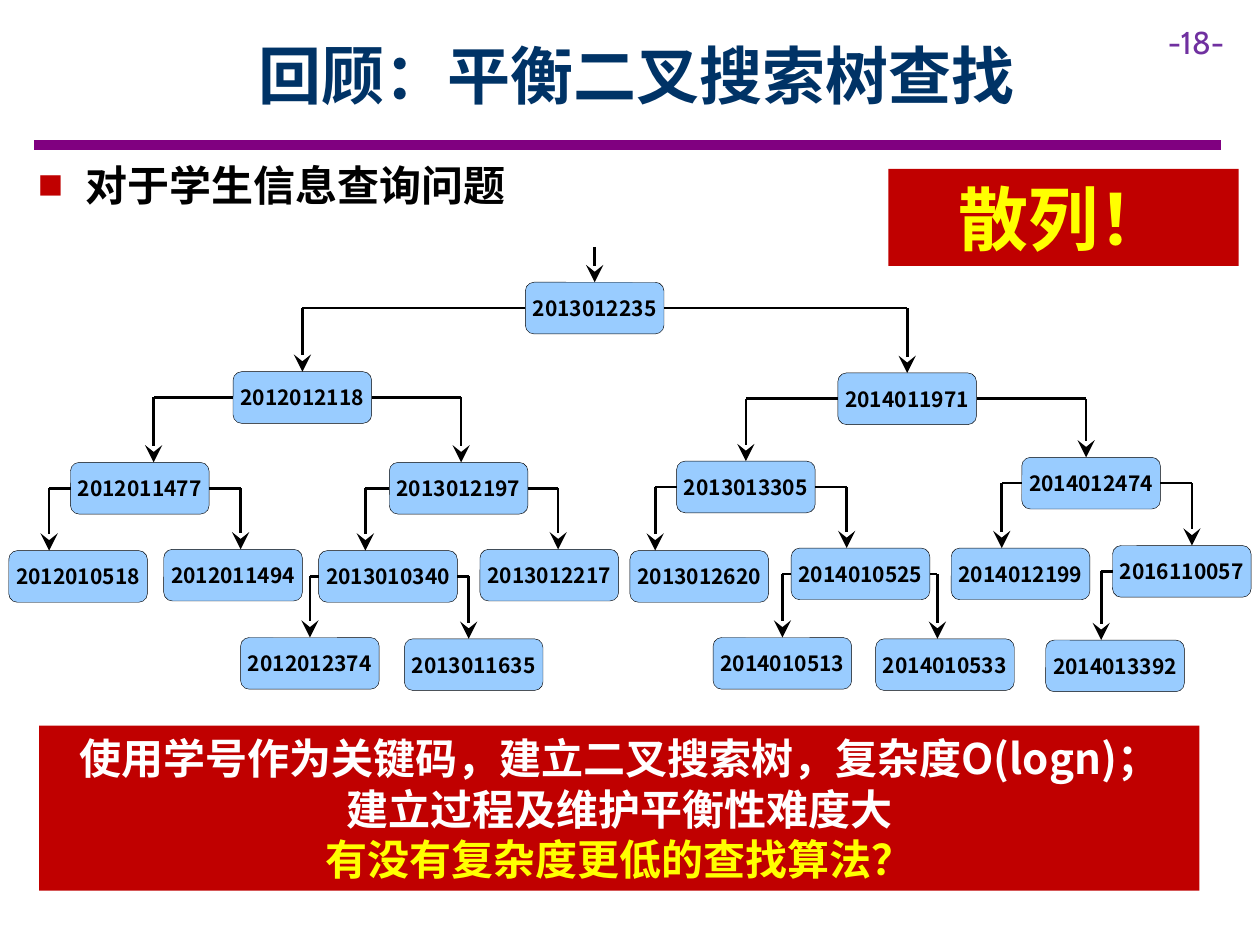
from lxml import etree
from pptx import Presentation
from pptx.dml.color import RGBColor
from pptx.enum.shapes import MSO_CONNECTOR, MSO_SHAPE
from pptx.enum.text import MSO_ANCHOR, MSO_AUTO_SIZE, PP_ALIGN
from pptx.oxml.ns import qn
from pptx.util import Inches, Pt

RECT, ROUNDED = MSO_SHAPE.RECTANGLE, MSO_SHAPE.ROUNDED_RECTANGLE
STRAIGHT = MSO_CONNECTOR.STRAIGHT
TOP, MIDDLE = MSO_ANCHOR.TOP, MSO_ANCHOR.MIDDLE
LEFT, CENTER = PP_ALIGN.LEFT, PP_ALIGN.CENTER
NO_FIT = MSO_AUTO_SIZE.NONE

BLACK = RGBColor(0x00, 0x00, 0x00)
WHITE = RGBColor(0xFF, 0xFF, 0xFF)
NAVY = RGBColor(0x00, 0x33, 0x66)
PURPLE = RGBColor(0x80, 0x00, 0x80)
VIOLET = RGBColor(0x70, 0x30, 0xA0)
RED = RGBColor(0xC0, 0x00, 0x00)
YELLOW = RGBColor(0xFF, 0xFF, 0x00)
SKY = RGBColor(0x99, 0xCC, 0xFF)

SANS, NUMBER_FONT = "Noto Sans CJK SC", "Cabin"
SLIDE_W, SLIDE_H = Inches(10), Inches(7.5)
COLS, ROWS = 100, 75
NODE_W, NODE_H = 11, 4.1
LINE_FACTOR = 1.21

# Tree in heap order (children of n are 2n and 2n + 1):
# number, column, row, column of the arrow into it (None: the node's middle)
TREE = {
    1: ("2013012235", 41.7, 22.4, None),
    2: ("2012012118", 18.5, 29.5, None),
    3: ("2014011971", 66.5, 29.6, None),
    4: ("2012011477", 5.6, 36.7, 12.2),
    5: ("2013012197", 30.9, 36.7, 36.6),
    6: ("2013013305", 53.7, 36.6, None),
    7: ("2014012474", 81.1, 36.3, 86.2),
    8: ("2012010518", 0.7, 43.7, 3.9),
    9: ("2012011494", 13, 43.6, 19.1),
    10: ("2013010340", 25.3, 43.7, 29),
    11: ("2013012217", 38.1, 43.6, 44.3),
    12: ("2013012620", 50, 43.7, 52),
    13: ("2014010525", 62.8, 43.5, 67.2),
    14: ("2014012199", 75.5, 43.5, 79.5),
    15: ("2016110057", 88.3, 43.3, 94.6),
    20: ("2012012374", 19.1, 50.6, None),
    21: ("2013011635", 32.1, 50.7, 37.2),
    26: ("2014010513", 56.6, 50.6, None),
    27: ("2014010533", 69.5, 50.7, 74.4),
    30: ("2014013392", 83, 50.8, 87.4),
}


def col(n):
    return round(SLIDE_W * n / COLS)


def row(n):
    return round(SLIDE_H * n / ROWS)


def place(sp, x, y, w, h):
    sp.left, sp.top, sp.width, sp.height = col(x), row(y), col(w), row(h)


def set_text(sp, lines, size, anchor=TOP, align=CENTER, bold=True,
             font=SANS, spacing=None, insets=None):
    """Write (text, colour) lines into a shape, one paragraph each."""
    tf = sp.text_frame
    frame = {"word_wrap": True, "auto_size": NO_FIT, "vertical_anchor": anchor}
    for name, value in {**frame, **(insets or {})}.items():
        setattr(tf, name, value)
    for i, (text, color) in enumerate(lines):
        p = tf.add_paragraph() if i else tf.paragraphs[0]
        p.alignment, p.space_before = align, Pt(0)
        if spacing:
            p.line_spacing = Pt(round(size * spacing))
        r = p.add_run()
        r.text = text
        for name, value in {"name": font, "size": Pt(size), "bold": bold}.items():
            setattr(r.font, name, value)
        r.font.color.rgb = color
        ea = etree.SubElement(r.font._element, qn("a:ea"))
        ea.set("typeface", font)


def add_box(s, kind, x, y, w, h, fill, outline=None):
    sp = s.shapes.add_shape(kind, col(x), row(y), col(w), row(h))
    sp.shadow.inherit = False
    sp.fill.solid()
    sp.fill.fore_color.rgb = fill
    if outline is None:
        sp.line.fill.background()
    else:
        sp.line.color.rgb, sp.line.width = outline, Pt(0.25)
    return sp


def add_line(s, x1, y1, x2, y2, color=BLACK, width=1.5, arrow=False):
    line = s.shapes.add_connector(STRAIGHT, col(x1), row(y1), col(x2), row(y2))
    line.line.color.rgb, line.line.width = color, Pt(width)
    if arrow:
        tail = etree.SubElement(line.line._get_or_add_ln(), qn("a:tailEnd"))
        for name, value in {"type": "stealth", "w": "lg", "len": "lg"}.items():
            tail.set(name, value)
    etree.SubElement(line._element.spPr, qn("a:effectLst"))
    return line


def add_bullet(p):
    pPr = p._p.get_or_add_pPr()
    pPr.set("marL", str(col(3.75)))
    pPr.set("indent", str(-col(3.75)))
    color = etree.SubElement(pPr, qn("a:buClr"))
    etree.SubElement(color, qn("a:srgbClr")).set("val", str(RED))
    etree.SubElement(pPr, qn("a:buChar")).set("char", "■")


def add_node(s, text, x, y):
    sp = add_box(s, ROUNDED, x, y, NODE_W, NODE_H, SKY, BLACK)
    set_text(sp, [(text, BLACK)], 12, MIDDLE,
             insets={"margin_left": 0, "margin_right": 0})
    return sp


def add_branch(s, nodes, n):
    """Run an arm out of the parent's side, then an arrow down to node n."""
    _, x, y, drop = TREE[n]
    _, parent_x, parent_y, _ = TREE[n // 2]
    bend_x = x + NODE_W / 2 if drop is None else drop
    bend_y = parent_y + NODE_H / 2
    is_left = n % 2 == 0
    side_x = parent_x if is_left else parent_x + NODE_W
    arm = add_line(s, side_x, bend_y, bend_x, bend_y)
    arm.begin_connect(nodes[n // 2], 1 if is_left else 3)
    arrow = add_line(s, bend_x, bend_y, bend_x, y, arrow=True)
    if drop is None:
        arrow.end_connect(nodes[n], 0)


def add_tree(s):
    nodes = {n: add_node(s, *TREE[n][:3]) for n in TREE}
    _, x, y, _ = TREE[1]
    middle = x + NODE_W / 2
    entry = add_line(s, middle, y - 2.8, middle, y, arrow=True)
    entry.end_connect(nodes[1], 0)
    for n in TREE:
        if n > 1:
            add_branch(s, nodes, n)


def main():
    prs = Presentation()
    prs.slide_width, prs.slide_height = SLIDE_W, SLIDE_H
    s = prs.slides.add_slide(prs.slide_layouts[1])

    # Heading, rule and page number
    title, body = s.placeholders
    place(title, 9, 0.9, 83.1, 10)
    set_text(title, [("回顾：平衡二叉搜索树查找", NAVY)], 36, MIDDLE)
    add_line(s, 2.7, 11.5, 96.9, 11.5, PURPLE, 6)
    number = s.shapes.add_textbox(col(91.7), row(1.3), col(8.3), row(4))
    set_text(number, [("-18-", VIOLET)], 18, align=LEFT, bold=False,
             font=NUMBER_FONT)

    # Topic line
    place(body, 2, 12.1, 52, 5)
    set_text(body, [("对于学生信息查询问题", BLACK)], 24, align=LEFT,
             spacing=LINE_FACTOR)
    add_bullet(body.text_frame.paragraphs[0])

    # Search tree
    add_tree(s)

    # Conclusion and answer
    conclusion = add_box(s, RECT, 3.1, 57.6, 92.1, 13.1, RED)
    set_text(conclusion, [
        ("使用学号作为关键码，建立二叉搜索树，复杂度O(logn)；", WHITE),
        ("建立过程及维护平衡性难度大", WHITE),
        ("有没有复杂度更低的查找算法？", YELLOW),
    ], 24, spacing=LINE_FACTOR)
    answer = add_box(s, RECT, 70.5, 13.4, 27.8, 7.7, RED)
    set_text(answer, [("散列！", YELLOW)], 40, spacing=LINE_FACTOR)

    prs.save("out.pptx")


if __name__ == "__main__":
    main()
